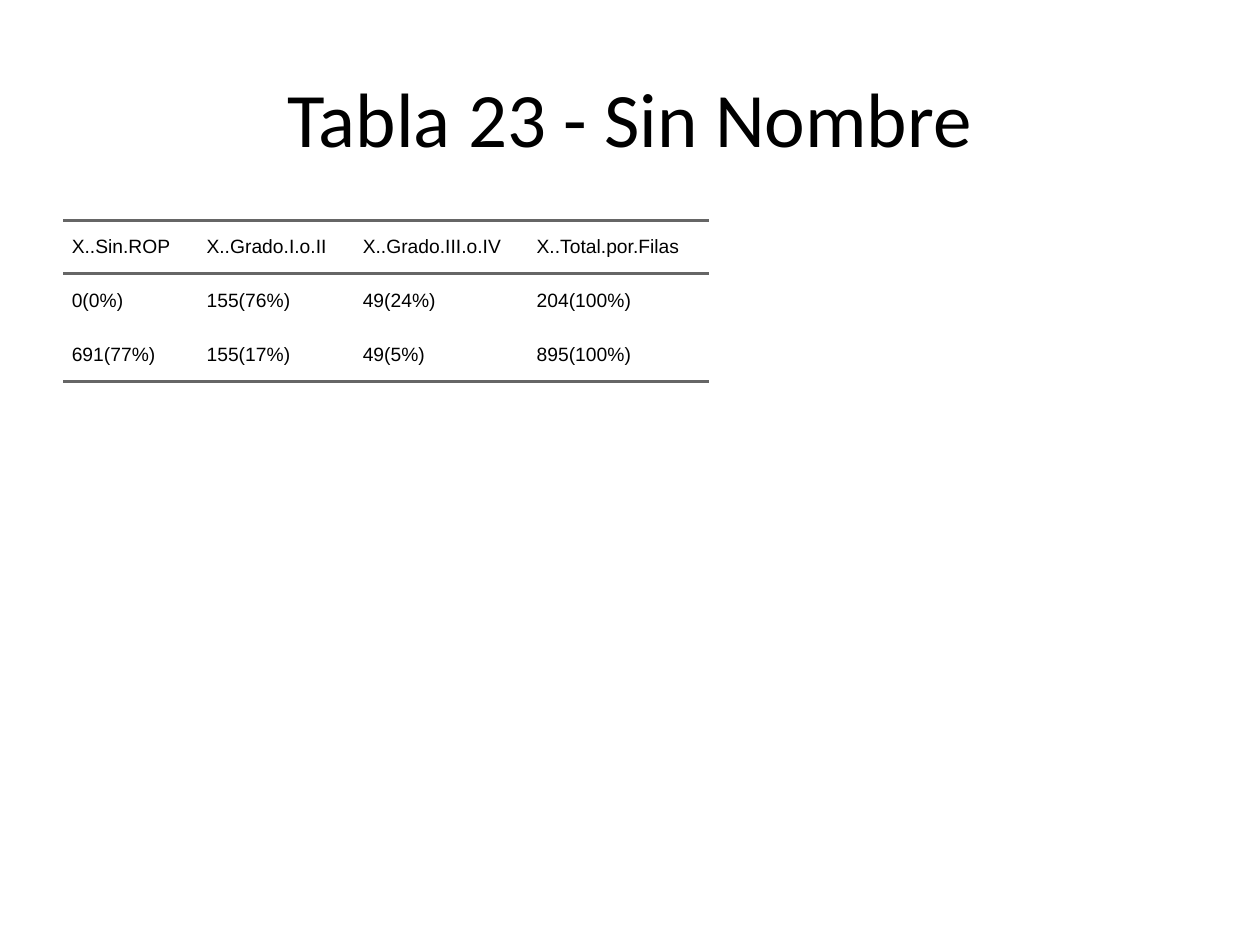
import pptx
import pptx.dml.color
import pptx.enum.text
import pptx.oxml
import pptx.oxml.ns
import pptx.util
from pptx.util import Inches

TITLE = "Tabla 23 - Sin Nombre"
ROWS = [
    ["X..Sin.ROP", "X..Grado.I.o.II", "X..Grado.III.o.IV", "X..Total.por.Filas"],
    ["0(0%)", "155(76%)", "49(24%)", "204(100%)"],
    ["691(77%)", "155(17%)", "49(5%)", "895(100%)"],
]
COL_WIDTHS = [1.07, 1.24, 1.38, 1.44]
ROW_HEIGHTS = [0.42, 0.43, 0.43]
RULE = "666666"


def color(value):
    """Return the RGB colour for a hex string."""
    return pptx.dml.color.RGBColor.from_string(value)


def style_text(tf, name, size, align):
    """Format every run of a text frame in black."""
    for p in tf.paragraphs:
        p.alignment = align
        for r in p.runs:
            r.font.name = name
            r.font.size = pptx.util.Pt(size)
            r.font.color.rgb = color("000000")


def add_title(s, text):
    """Add the centred slide title."""
    sp = s.shapes.add_textbox(Inches(0.5), Inches(0.3), Inches(9), Inches(1.25))
    tf = sp.text_frame
    tf.word_wrap = True
    tf.vertical_anchor = pptx.enum.text.MSO_ANCHOR.MIDDLE
    tf.text = text
    style_text(tf, "Calibri", 44, pptx.enum.text.PP_ALIGN.CENTER)


def set_borders(cell, ruled):
    """Draw a 2 pt rule on the given sides and clear the others."""
    ns = pptx.oxml.ns.nsdecls("a")
    solid = f'<a:solidFill><a:srgbClr val="{RULE}"/></a:solidFill>'
    tc_pr = cell._tc.get_or_add_tcPr()
    for i, side in enumerate("LRTB"):
        width = pptx.util.Pt(2) if side in ruled else 0
        fill = solid if side in ruled else "<a:noFill/>"
        xml = f'<a:ln{side} {ns} w="{width}">{fill}</a:ln{side}>'
        tc_pr.insert(i, pptx.oxml.parse_xml(xml))


def fill_cell(cell, text, ruled):
    """Write one table cell with its rules."""
    cell.text = text
    cell.margin_left = Inches(0.07)
    cell.margin_right = cell.margin_top = cell.margin_bottom = 0
    cell.vertical_anchor = pptx.enum.text.MSO_ANCHOR.MIDDLE
    style_text(cell.text_frame, "Arial", 11, pptx.enum.text.PP_ALIGN.LEFT)
    cell.fill.background()
    set_borders(cell, ruled)


def add_table(s, rows):
    """Add the table with rules around the header and below the last row."""
    table = s.shapes.add_table(
        len(rows), len(COL_WIDTHS), Inches(0.5), Inches(1.75),
        Inches(sum(COL_WIDTHS)), Inches(sum(ROW_HEIGHTS))).table
    table.first_row = table.horz_banding = False
    for column, width in zip(table.columns, COL_WIDTHS):
        column.width = Inches(width)
    for row, height in zip(table.rows, ROW_HEIGHTS):
        row.height = Inches(height)
    rules = ["TB", "T", "B"]
    for i, (values, ruled) in enumerate(zip(rows, rules)):
        for j, value in enumerate(values):
            fill_cell(table.cell(i, j), value, ruled)


def main():
    """Build and save the slide."""
    prs = pptx.Presentation()
    prs.slide_width, prs.slide_height = Inches(10), Inches(7.5)
    s = prs.slides.add_slide(prs.slide_layouts[6])
    add_title(s, TITLE)
    add_table(s, ROWS)
    prs.save("out.pptx")


if __name__ == "__main__":
    main()
